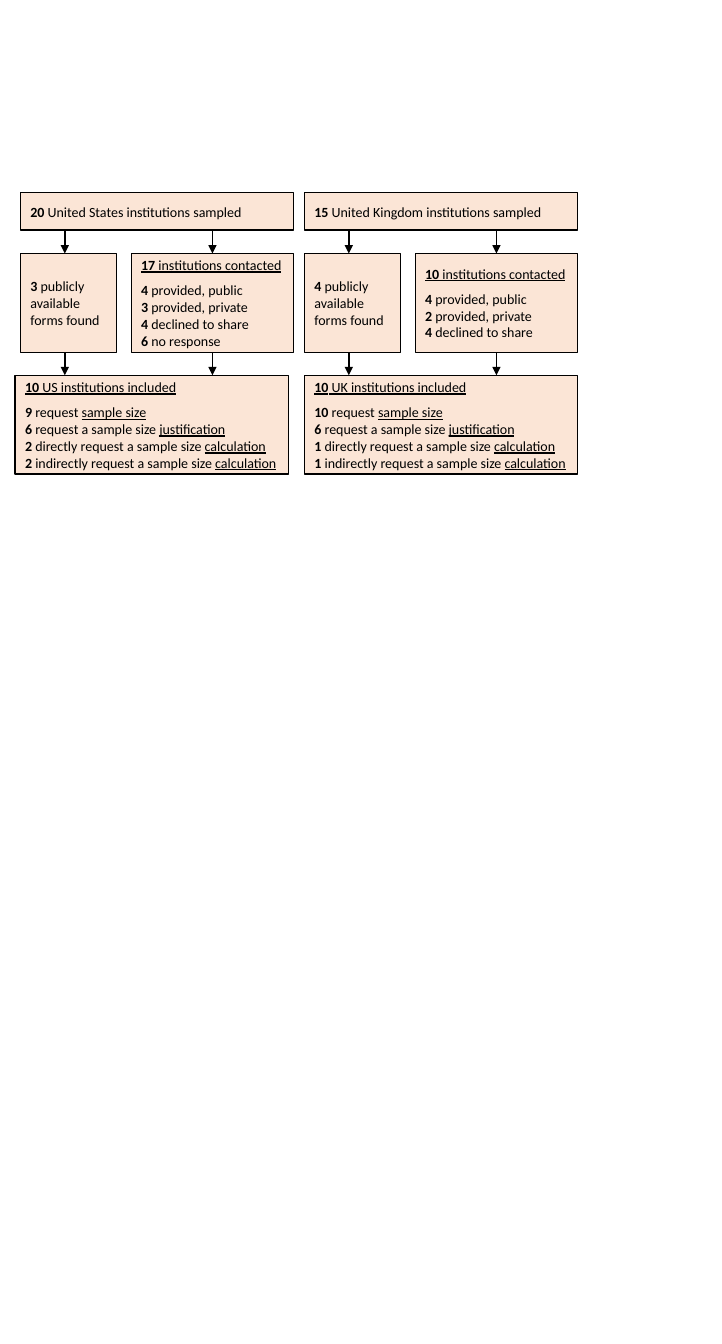
from dataclasses import dataclass

from lxml import etree
from pptx import Presentation
from pptx.dml.color import RGBColor
from pptx.enum.shapes import MSO_CONNECTOR, MSO_SHAPE
from pptx.enum.text import MSO_ANCHOR, PP_ALIGN
from pptx.oxml.ns import qn
from pptx.shapes.autoshape import Shape
from pptx.shapes.connector import Connector
from pptx.slide import Slide
from pptx.util import Pt

RECTANGLE = MSO_SHAPE.RECTANGLE
STRAIGHT = MSO_CONNECTOR.STRAIGHT
MIDDLE = MSO_ANCHOR.MIDDLE
LEFT = PP_ALIGN.LEFT
TOP_SIDE, BOTTOM_SIDE = 0, 2

BLACK = RGBColor(0x00, 0x00, 0x00)
PEACH = RGBColor(0xFB, 0xE5, 0xD6)

COLUMN_WIDTH = 195.1
FOUND_WIDTH = 68.6
CONTACTED_OFFSET = 79.1
CONTACTED_WIDTH = 116
FOUND_ARROW_OFFSET = 31.7
SAMPLED_TOP, SAMPLED_HEIGHT = 137.6, 26.8
MIDDLE_TOP, INCLUDED_TOP = 181, 268
BOX_HEIGHT = 70.6


@dataclass
class Line:
    count: int
    text: str
    key: str = ""
    heading: bool = False


@dataclass
class Country:
    left: float
    included_left: float
    sampled: Line
    found: Line
    contacted: list[Line]
    included: list[Line]


def included_lines(name: str, total: int, counts: tuple[int, ...]) -> list[Line]:
    requests = [
        ("request ", "sample size"),
        ("request a sample size ", "justification"),
        ("directly request a sample size ", "calculation"),
        ("indirectly request a sample size ", "calculation"),
    ]
    heading = Line(total, f"{name} institutions included", heading=True)
    return [heading] + [Line(n, *request) for n, request in zip(counts, requests)]


def contacted_lines(total: int, counts: tuple[int, ...]) -> list[Line]:
    replies = ["provided, public", "provided, private", "declined to share", "no response"]
    heading = Line(total, "institutions contacted", heading=True)
    return [heading] + [Line(n, reply) for n, reply in zip(counts, replies)]


COUNTRIES = [
    Country(
        14.6, 10.8,
        Line(20, "United States institutions sampled"),
        Line(3, "publicly available forms found"),
        contacted_lines(17, (4, 3, 4, 6)),
        included_lines("US", 10, (9, 6, 2, 2)),
    ),
    Country(
        217.4, 217.4,
        Line(15, "United Kingdom institutions sampled"),
        Line(4, "publicly available forms found"),
        contacted_lines(10, (4, 2, 4)),
        included_lines("UK", 10, (10, 6, 1, 1)),
    ),
]


def add_box(s: Slide, left: float, top: float, width: float, height: float,
            lines: list[Line]) -> Shape:
    sp = s.shapes.add_shape(RECTANGLE, Pt(left), Pt(top), Pt(width), Pt(height))
    sp.shadow.inherit = False
    sp.fill.solid()
    sp.fill.fore_color.rgb = PEACH
    sp.line.color.rgb = BLACK
    sp.line.width = Pt(1)
    tf = sp.text_frame
    tf.word_wrap = True
    tf.vertical_anchor = MIDDLE
    for i, line in enumerate(lines):
        p = tf.add_paragraph() if i else tf.paragraphs[0]
        p.alignment = LEFT
        p.font.name = "Calibri"
        p.font.size = Pt(10)
        p.font.color.rgb = BLACK
        if line.heading:
            p.font.underline = True
            p.space_after = Pt(6)
        r = p.add_run()
        r.text = str(line.count)
        r.font.bold = True
        p.add_run().text = f" {line.text}"
        if line.key:
            r = p.add_run()
            r.text = line.key
            r.font.underline = True
        for r in p.runs:
            r.font.name = "Calibri"
            r.font.size = Pt(10)
            r.font.color.rgb = BLACK
            if line.heading:
                r.font.underline = True
    return sp


def add_arrow(s: Slide, x: float, top: float, bottom: float) -> Connector:
    cn = s.shapes.add_connector(STRAIGHT, Pt(x), Pt(top), Pt(x), Pt(bottom))
    cn.line.color.rgb = BLACK
    cn.line.width = Pt(1)
    etree.SubElement(cn.line._get_or_add_ln(), qn("a:tailEnd"), type="triangle")
    etree.SubElement(cn._element.spPr, qn("a:effectLst"))
    return cn


def add_country(s: Slide, country: Country) -> None:
    left = country.left
    contacted_left = left + CONTACTED_OFFSET
    add_box(s, left, SAMPLED_TOP, COLUMN_WIDTH, SAMPLED_HEIGHT, [country.sampled])
    add_box(s, left, MIDDLE_TOP, FOUND_WIDTH, BOX_HEIGHT, [country.found])
    contacted = add_box(s, contacted_left, MIDDLE_TOP, CONTACTED_WIDTH, BOX_HEIGHT,
                        country.contacted)
    add_box(s, country.included_left, INCLUDED_TOP, COLUMN_WIDTH, BOX_HEIGHT,
            country.included)

    sampled_bottom = SAMPLED_TOP + SAMPLED_HEIGHT
    middle_bottom = MIDDLE_TOP + BOX_HEIGHT
    found_x = left + FOUND_ARROW_OFFSET
    contacted_x = contacted_left + CONTACTED_WIDTH / 2
    add_arrow(s, found_x, sampled_bottom, MIDDLE_TOP)
    add_arrow(s, found_x, middle_bottom, INCLUDED_TOP)
    add_arrow(s, contacted_x, sampled_bottom, MIDDLE_TOP).end_connect(contacted, TOP_SIDE)
    add_arrow(s, contacted_x, middle_bottom, INCLUDED_TOP).begin_connect(contacted, BOTTOM_SIDE)


def main() -> None:
    prs = Presentation()
    prs.slide_width, prs.slide_height = Pt(515.52), Pt(959.76)
    s = prs.slides.add_slide(prs.slide_layouts[6])
    for country in COUNTRIES:
        add_country(s, country)
    prs.save("out.pptx")


if __name__ == "__main__":
    main()
